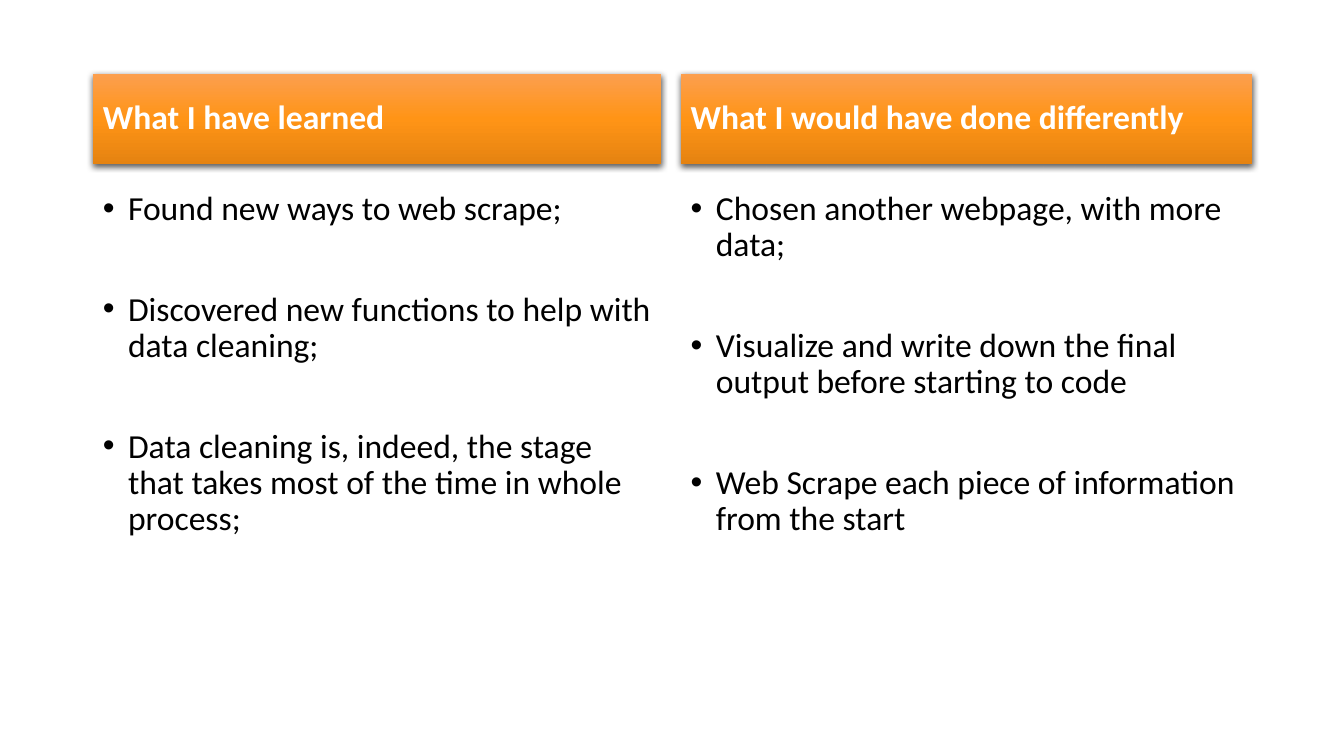
from lxml import etree
from pptx import Presentation
from pptx import util as u
from pptx.dml.color import RGBColor
from pptx.enum import text
from pptx.oxml import ns

PX = 9144  # EMU, 100 px to the inch
COLORS = {
    "heading": "FFFFFF",
    "body": "000000",
    "shadow": "000000",
    "light": "FC9F4F",
    "mid": "FF9416",
    "dark": "E58311",
}
COMPARISON_LAYOUT = 4
HEAD_TOP, HEAD_HEIGHT = 73, 90
BODY_TOP, BODY_HEIGHT = 185, 492
COLUMNS = [
    (92, 564, "What I have learned", [
        "Found new ways to web scrape;",
        "Discovered new functions to help with data cleaning;",
        "Data cleaning is, indeed, the stage that takes most of the time in whole process;",
    ]),
    (675, 567, "What I would have done differently", [
        "Chosen another webpage, with more data;",
        "Visualize and write down the final output before starting to code",
        "Web Scrape each piece of information from the start",
    ]),
]


def add_xml(parent, tag, **attrs):
    return etree.SubElement(parent, ns.qn(tag), {k: str(v) for k, v in attrs.items()})


class ComparisonSlide:
    font, size, line_spacing = "Calibri", 24, 0.9

    def __init__(self, prs):
        self.s = prs.slides.add_slide(prs.slide_layouts[COMPARISON_LAYOUT])
        for sp in list(self.s.placeholders):
            if sp.placeholder_format.idx not in (1, 2, 3, 4):
                sp.element.getparent().remove(sp.element)

    def place(self, idx, box, lines, color, bold, anchor):
        sp = next(p for p in self.s.placeholders if p.placeholder_format.idx == idx)
        sp.left, sp.top, sp.width, sp.height = (v * PX for v in box)
        tf = sp.text_frame
        tf.text = "\n".join(lines)
        tf.word_wrap = True
        tf.auto_size = text.MSO_AUTO_SIZE.NONE
        tf.vertical_anchor = anchor
        for p in tf.paragraphs:
            p.line_spacing = self.line_spacing
            p.space_before = u.Pt(10)
            f = p.runs[0].font
            f.name, f.size, f.bold = self.font, u.Pt(self.size), bold
            f.color.rgb = RGBColor.from_string(COLORS[color])
        return sp

    def heading(self, idx, box, line):
        sp = self.place(idx, box, [line], "heading", True, text.MSO_ANCHOR.MIDDLE)
        props = sp.element.spPr
        grad = add_xml(props, "a:gradFill", rotWithShape=1)
        stops = add_xml(grad, "a:gsLst")
        for i, name in enumerate(("light", "mid", "dark")):
            stop = add_xml(stops, "a:gs", pos=i * 50000)
            add_xml(stop, "a:srgbClr", val=COLORS[name])
        add_xml(grad, "a:lin", ang=5400000, scaled=0)
        shadow = add_xml(add_xml(props, "a:effectLst"), "a:outerShdw", blurRad=u.Pt(4.5),
                         dist=u.Pt(1.5), dir=5400000, algn="ctr", rotWithShape=0)
        add_xml(add_xml(shadow, "a:srgbClr", val=COLORS["shadow"]), "a:alpha", val=63000)

    def bullets(self, idx, box, lines):
        sp = self.place(idx, box, lines, "body", False, text.MSO_ANCHOR.TOP)
        for i, p in enumerate(sp.text_frame.paragraphs):
            if i:
                p.space_before = u.Pt(46)
            props = p._p.get_or_add_pPr()
            props.set("marL", str(25 * PX))
            props.set("indent", str(-25 * PX))
            add_xml(props, "a:buFont", typeface="Arial")
            add_xml(props, "a:buChar", char="•")


def main():
    prs = Presentation()
    prs.slide_width, prs.slide_height = 1333 * PX, 750 * PX
    slide = ComparisonSlide(prs)
    for i, (left, width, title, points) in enumerate(COLUMNS):
        slide.heading(2 * i + 1, (left, HEAD_TOP, width, HEAD_HEIGHT), title)
        slide.bullets(2 * i + 2, (left, BODY_TOP, width, BODY_HEIGHT), points)
    prs.save("out.pptx")


if __name__ == "__main__":
    main()
